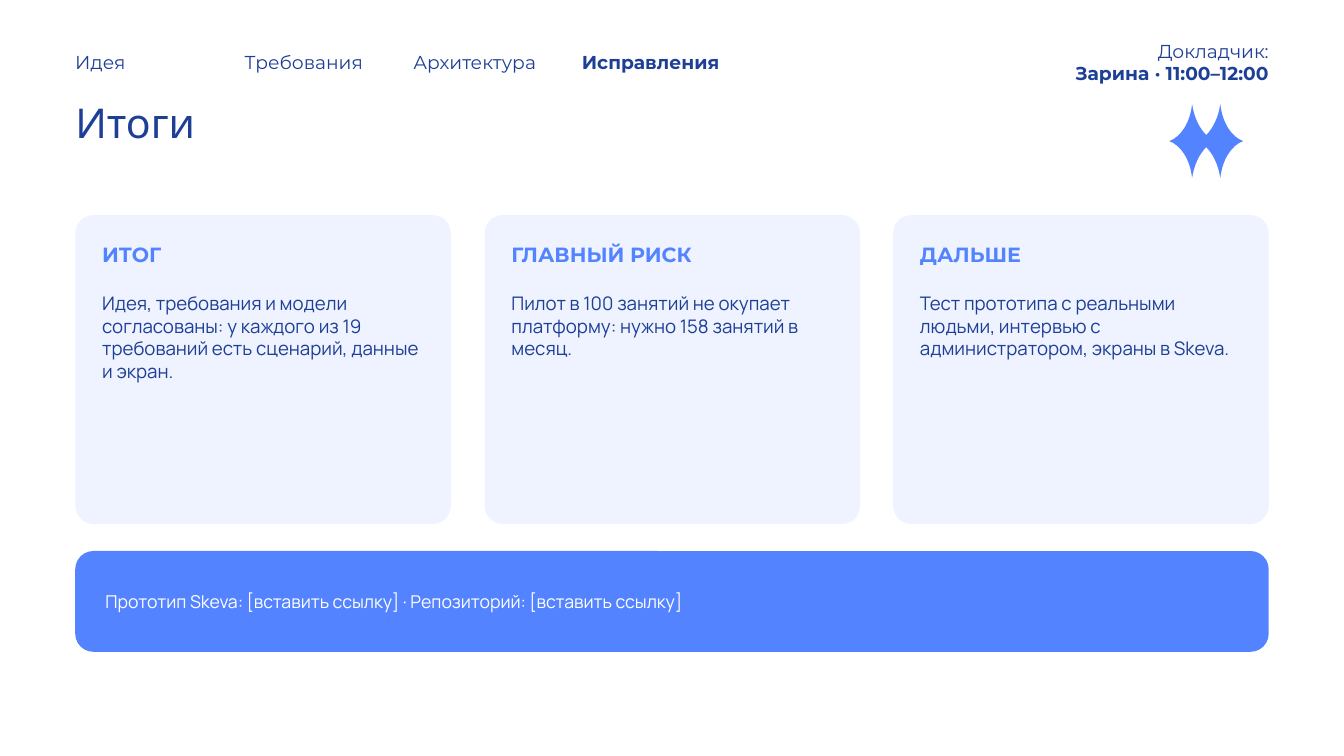
"""Build the summary slide: section navigation, three cards and a links banner."""
from dataclasses import dataclass
from math import ceil
from typing import NamedTuple

from lxml.etree import SubElement
from pptx import Presentation
from pptx.dml.color import RGBColor
from pptx.enum.shapes import MSO_SHAPE as Shape
from pptx.enum.text import MSO_ANCHOR as Anchor, MSO_AUTO_SIZE as AutoSize, PP_ALIGN as Align
from pptx.oxml.ns import qn
from pptx.util import Emu, Pt

EMU_PER_PX = 9144


class Box(NamedTuple):
    left: int
    top: int
    width: int
    height: int

    def emu(self) -> list[Emu]:
        return [Emu(value * EMU_PER_PX) for value in self]


class Style(NamedTuple):
    font: str
    size: int
    color: str
    bold: bool = False


@dataclass(frozen=True)
class Theme:
    accent: str = "5383FF"
    panel: str = "EEF3FF"
    title: Style = Style("League Spartan", 44, "1E3F96")
    label: Style = Style("Montserrat", 20, "1E3F96")
    strong: Style = Style("Montserrat", 20, "1E3F96", True)
    heading: Style = Style("Montserrat", 22, "5383FF", True)
    body: Style = Style("Manrope", 20, "1E3F96")
    banner: Style = Style("Manrope", 19, "FFFFFF")


class Card(NamedTuple):
    heading: str
    body: str


THEME = Theme()
LEFT, CONTENT_WIDTH, CARD_WIDTH = 112, 1776, 559
SECTIONS = ["Идея", "Требования", "Архитектура", "Исправления"]
CURRENT_SECTION = "Исправления"
CARDS = [
    Card("ИТОГ", "Идея, требования и модели согласованы: у каждого из 19 требований есть сценарий, данные и экран."),
    Card("ГЛАВНЫЙ РИСК", "Пилот в 100 занятий не окупает платформу: нужно 158 занятий в месяц."),
    Card("ДАЛЬШЕ", "Тест прототипа с реальными людьми, интервью с администратором, экраны в Skeva."),
]
SPARKLE_CENTER = (1795, 210)
SPARKLE_QUARTER = [(55, 0), (38, -6), (24, -27), (21, -55), (18, -35), (10, -19), (0, -9)]


def write(shape, text: str, style: Style, align=Align.LEFT, anchor=Anchor.TOP) -> None:
    frame = shape.text_frame
    frame.word_wrap = True
    frame.auto_size = AutoSize.SHAPE_TO_FIT_TEXT
    frame.vertical_anchor = anchor
    frame.margin_left = frame.margin_top = frame.margin_right = frame.margin_bottom = 0
    paragraph = frame.paragraphs[0]
    paragraph.alignment = align
    run = paragraph.add_run()
    run.text = text
    run.font.name = style.font
    run.font.size = Pt(style.size)
    run.font.bold = style.bold
    run.font.color.rgb = RGBColor.from_string(style.color)


def add_text(slide, box: Box, text: str, style: Style, align=Align.LEFT, anchor=Anchor.TOP) -> None:
    write(slide.shapes.add_textbox(*box.emu()), text, style, align, anchor)


def paint(shape, color: str) -> None:
    shape.shadow.inherit = False
    shape.fill.solid()
    shape.fill.fore_color.rgb = RGBColor.from_string(color)
    shape.line.fill.background()


def add_panel(slide, box: Box, color: str, rounding: float) -> None:
    shape = slide.shapes.add_shape(Shape.ROUNDED_RECTANGLE, *box.emu())
    shape.adjustments[0] = rounding
    paint(shape, color)


def curve_segments(shape) -> None:
    lines = list(shape.element.iter(qn("a:lnTo")))
    for start in range(0, len(lines), 3):
        triple = lines[start:start + 3]
        outline = triple[0].getparent()
        curve = SubElement(outline, qn("a:cubicBezTo"))
        triple[0].addprevious(curve)
        for line in triple:
            curve.append(line[0])
            outline.remove(line)


def add_sparkle(slide) -> None:
    top = SPARKLE_QUARTER + [(-x, y) for x, y in SPARKLE_QUARTER[-2::-1]]
    outline = top + [(x, -y) for x, y in top[-2::-1]]
    center_x, center_y = SPARKLE_CENTER
    points = [((center_x + x) * EMU_PER_PX, (center_y + y) * EMU_PER_PX) for x, y in outline]
    builder = slide.shapes.build_freeform(*points[0])
    builder.add_line_segments(points[1:], close=True)
    shape = builder.convert_to_shape()
    curve_segments(shape)
    paint(shape, THEME.accent)


def add_card(slide, left: int, card: Card) -> None:
    add_panel(slide, Box(left, 320, CARD_WIDTH, 460), THEME.panel, 0.06)
    add_text(slide, Box(left + 40, 360, CARD_WIDTH - 80, 60), card.heading, THEME.heading)
    add_text(slide, Box(left + 40, 435, CARD_WIDTH - 80, 315), card.body, THEME.body)


def main() -> None:
    presentation = Presentation()
    presentation.slide_width, presentation.slide_height = Box(0, 0, 2000, 1125).emu()[2:]
    slide = presentation.slides.add_slide(presentation.slide_layouts[5])

    title = slide.shapes.title
    title.left, title.top, title.width, title.height = Box(LEFT, 145, 1520, 130).emu()
    write(title, "Итоги", THEME.title)

    for index, section in enumerate(SECTIONS):
        style = THEME.strong if section == CURRENT_SECTION else THEME.label
        add_text(slide, Box(LEFT + ceil(index * 754 / 3), 75, 230, 40), section, style)
    add_text(slide, Box(1440, 59, 448, 37), "Докладчик:", THEME.label, Align.RIGHT)
    add_text(slide, Box(1440, 92, 448, 37), "Зарина · 11:00–12:00", THEME.strong, Align.RIGHT)
    add_sparkle(slide)

    card_step = (CONTENT_WIDTH - CARD_WIDTH) / (len(CARDS) - 1)
    for index, card in enumerate(CARDS):
        add_card(slide, LEFT + ceil(index * card_step), card)

    add_panel(slide, Box(LEFT, 820, CONTENT_WIDTH, 150), THEME.accent, 0.18)
    add_text(slide, Box(LEFT + 45, 820, CONTENT_WIDTH - 90, 150),
             "Прототип Skeva: [вставить ссылку] · Репозиторий: [вставить ссылку]",
             THEME.banner, anchor=Anchor.MIDDLE)
    presentation.save("out.pptx")


if __name__ == "__main__":
    main()
